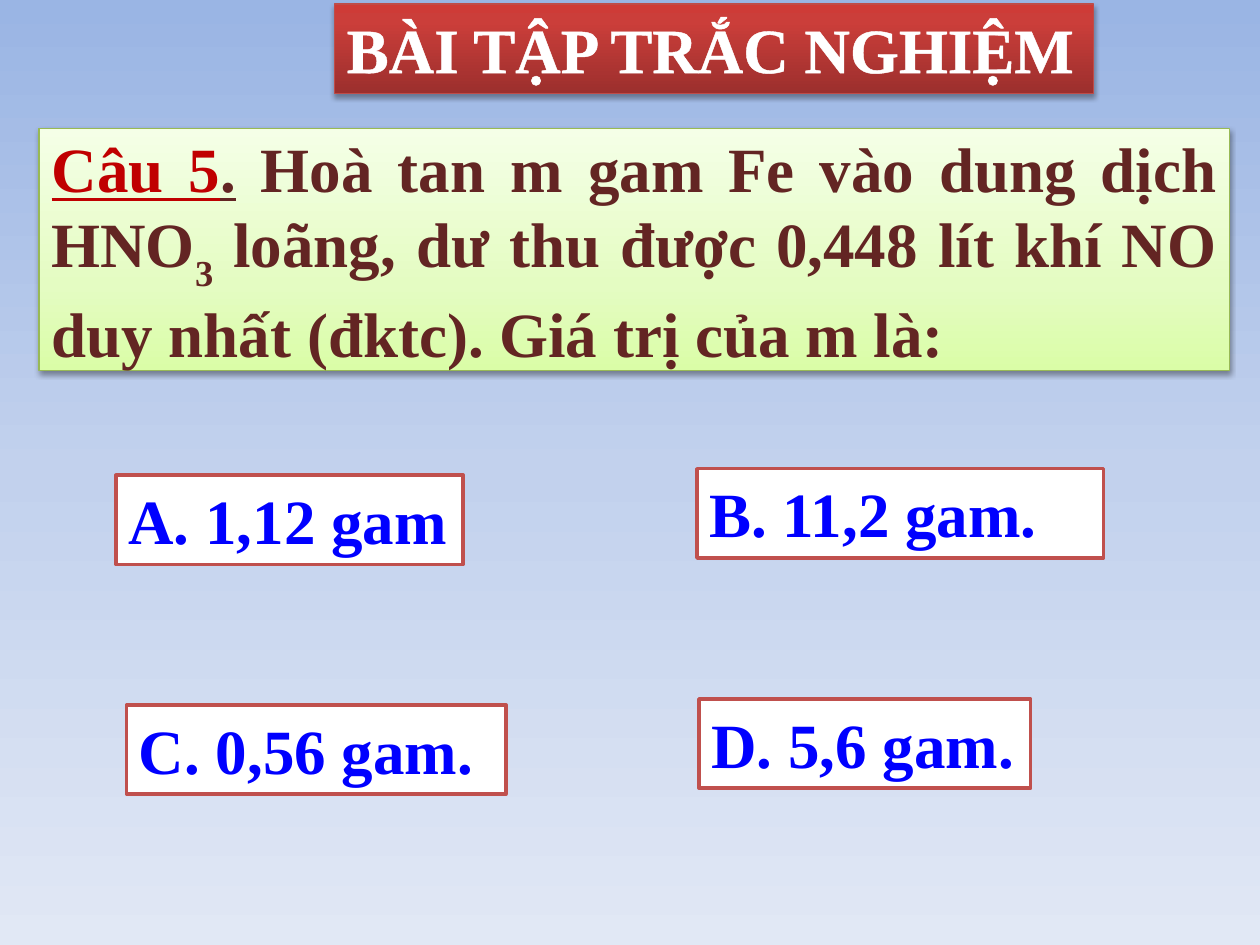
import dataclasses

import lxml.etree
import pptx
import pptx.dml.color
import pptx.enum.shapes
import pptx.enum.text
import pptx.oxml.ns
import pptx.util

Cm = pptx.util.Cm
Pt = pptx.util.Pt
qn = pptx.oxml.ns.qn
Align = pptx.enum.text.PP_ALIGN
Anchor = pptx.enum.text.MSO_ANCHOR


@dataclasses.dataclass(frozen=True)
class Theme:
    font: str = "Times New Roman"
    size: int = 36
    red: str = "C00000"
    brown: str = "632523"
    blue: str = "0000FF"
    white: str = "FFFFFF"
    answer_line: str = "C0504D"
    question_line: str = "98B955"
    title_line: str = "BF4C48"
    sky: tuple = ((0, "9AB5E4"), (50, "C2D1ED"), (100, "E1E8F5"))
    green: tuple = ((0, "DAFDA7"), (35, "E4FCC2"), (100, "F5FFE7"))
    crimson: tuple = ((0, "9C2F2D"), (80, "CB3E3A"), (100, "CE3B37"))


def rgb(color):
    return pptx.dml.color.RGBColor.from_string(color)


def add_node(parent, tag, **values):
    attributes = {name: str(value) for name, value in values.items()}
    return lxml.etree.SubElement(parent, qn(tag), attributes)


def apply(target, values):
    for name, value in values.items():
        setattr(target, name, value)


class QuizSlide:
    def __init__(self, deck, theme):
        self.theme = theme
        self.page = deck.slides.add_slide(deck.slide_layouts[6])

    def gradient(self, fill, owner, stops, angle):
        fill.gradient()
        node = owner.find(".//" + qn("a:gradFill"))
        stop_list = node.find(qn("a:gsLst"))
        stop_list.clear()
        for position, color in stops:
            stop = add_node(stop_list, "a:gs", pos=position * 1000)
            add_node(stop, "a:srgbClr", val=color)
        node.find(qn("a:lin")).set("ang", str(angle * 60000))

    def background(self):
        self.gradient(self.page.background.fill, self.page.element,
                      self.theme.sky, 90)

    def box(self, place, line, weight, **frame_format):
        shape = self.page.shapes.add_shape(
            pptx.enum.shapes.MSO_SHAPE.RECTANGLE, *map(Cm, place))
        shape.shadow.inherit = False
        shape.line.color.rgb = rgb(line)
        shape.line.width = Pt(weight)
        apply(shape.text_frame, {"word_wrap": True,
                                 "vertical_anchor": Anchor.TOP,
                                 **frame_format})
        return shape

    def shadow(self, shape, opacity, distance):
        effects = shape.element.spPr.find(qn("a:effectLst"))
        outer = add_node(effects, "a:outerShdw", blurRad=Pt(3.1),
                         dist=Pt(distance), dir=90 * 60000, rotWithShape=0)
        color = add_node(outer, "a:srgbClr", val="000000")
        add_node(color, "a:alpha", val=opacity * 1000)

    def add_text(self, shape, spans, align=Align.LEFT):
        para = shape.text_frame.paragraphs[0]
        para.alignment = align
        for text, color, extra in spans:
            span = para.add_run()
            span.text = text
            apply(span.font, {"name": self.theme.font, "bold": True,
                              "size": Pt(self.theme.size), **extra})
            span.font.color.rgb = rgb(color)
        return para

    def title(self, text, place):
        theme = self.theme
        shape = self.box(place, theme.title_line, 0.75)
        self.gradient(shape.fill, shape.element, theme.crimson, 270)
        self.shadow(shape, 35, 1.8)
        para = self.add_text(shape, [(text, theme.white, {})])
        # White outline around the letters
        properties = para.runs[0].font._element
        outline = add_node(properties, "a:ln", w=Pt(1.45))
        add_node(add_node(outline, "a:solidFill"), "a:srgbClr", val=theme.white)
        properties.insert(0, outline)

    def question(self, spans, place):
        shape = self.box(place, self.theme.question_line, 0.75,
                         vertical_anchor=Anchor.MIDDLE)
        self.gradient(shape.fill, shape.element, self.theme.green, 270)
        self.shadow(shape, 38, 1.6)
        para = self.add_text(shape, spans, Align.JUSTIFY)
        para.runs[3].font._element.set("baseline", "-30000")

    def answer(self, text, left, top, width):
        shape = self.box((left, top, width, 1.8), self.theme.answer_line, 2)
        shape.fill.solid()
        shape.fill.fore_color.rgb = rgb(self.theme.white)
        self.add_text(shape, [(text, self.theme.blue, {})])


def main():
    deck = pptx.Presentation()
    apply(deck, {"slide_width": Cm(25.4), "slide_height": Cm(19.05)})
    theme = Theme()
    quiz = QuizSlide(deck, theme)
    quiz.background()

    # Question, with the 3 of the formula as a subscript
    underlined = {"underline": True}
    quiz.question([
        ("Câu 5", theme.red, underlined),
        (".", theme.brown, underlined),
        (" Hoà tan m gam Fe vào dung dịch HNO", theme.brown, {}),
        ("3", theme.brown, {}),
        (" loãng, dư thu được 0,448 lít khí NO duy nhất (đktc). "
         "Giá trị của m là:", theme.brown, {}),
    ], (0.79, 2.59, 24, 4.88))

    # Title
    quiz.title("BÀI TẬP TRẮC NGHIỆM", (6.74, 0.08, 15.3, 1.8))

    # Answers
    for answer in (
        ("A. 1,12 gam", 2.34, 9.58, 7),
        ("B. 11,2 gam.", 14.05, 9.45, 8.2),
        ("C. 0,56 gam.", 2.55, 14.21, 7.65),
        ("D. 5,6 gam.", 14.09, 14.09, 6.69),
    ):
        quiz.answer(*answer)

    deck.save("out.pptx")


if __name__ == "__main__":
    main()
